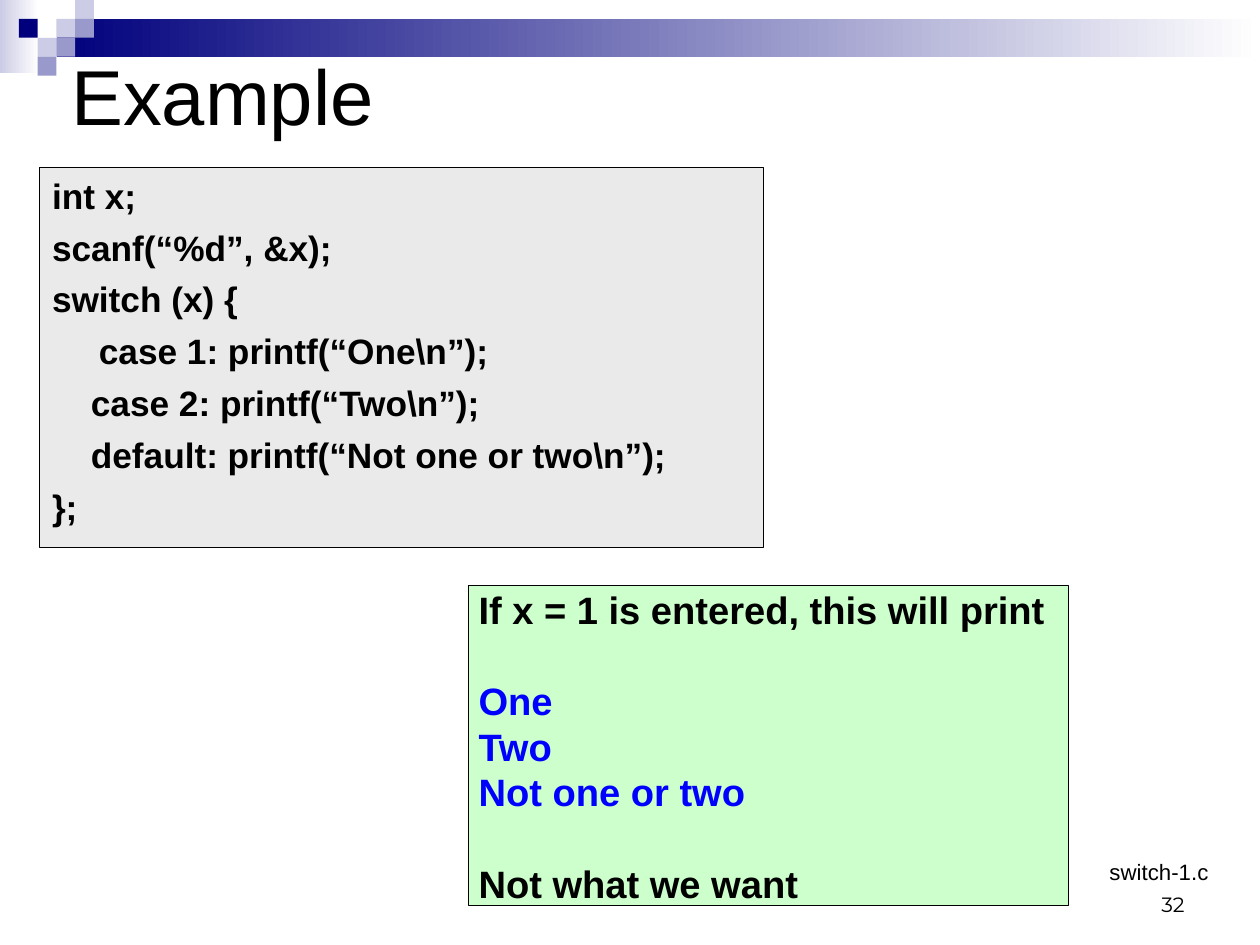
from pptx import Presentation
from pptx import util as u
from pptx.dml.color import RGBColor
from pptx.enum import shapes, text

BLACK = RGBColor(0x00, 0x00, 0x00)
WHITE = RGBColor(0xFF, 0xFF, 0xFF)
NAVY = RGBColor(0x00, 0x00, 0x7D)
LILAC = RGBColor(0xCC, 0xCC, 0xE6)
VIOLET = RGBColor(0x99, 0x99, 0xCC)
GREY = RGBColor(0xEA, 0xEA, 0xEA)
GREEN = RGBColor(0xCC, 0xFF, 0xCC)
BLUE = RGBColor(0x00, 0x00, 0xFF)
COLS, ROWS = 67, 50


def write(p, words, size=24, font="Arial", color=BLACK, bold=False,
          align=text.PP_ALIGN.LEFT, before=0, indent=0, leading=None):
    r = p.add_run()
    r.text = words
    r.font.size, r.font.name, r.font.bold = u.Pt(size), font, bold
    r.font.color.rgb = color
    p.alignment = align
    p.space_before = u.Pt(before)
    if leading:
        p.line_spacing = u.Pt(leading * size)
    p._p.get_or_add_pPr().set("marL", str(u.Inches(indent)))


class Deck:
    def __init__(self, width, height):
        self.prs = Presentation()
        self.prs.slide_width = width
        self.prs.slide_height = height
        self.s = self.prs.slides.add_slide(self.prs.slide_layouts[6])

    def at(self, col, row, cols, rows):
        w, h = self.prs.slide_width / COLS, self.prs.slide_height / ROWS
        return [round(n) for n in (col * w, row * h, cols * w, rows * h)]

    def rect(self, cell, fill, fade=False, outline=False):
        sp = self.s.shapes.add_shape(shapes.MSO_SHAPE.RECTANGLE, *self.at(*cell))
        sp.shadow.inherit = False
        if fade:
            sp.fill.gradient()
            sp.fill.gradient_angle = 0
            for stop, color in zip(sp.fill.gradient_stops, (fill, WHITE)):
                stop.color.rgb = color
        else:
            sp.fill.solid()
            sp.fill.fore_color.rgb = fill
        if outline:
            sp.line.color.rgb = BLACK
            sp.line.width = u.Pt(0.75)
        else:
            sp.line.fill.background()
        return sp

    def frame(self, sp, inset, anchor=text.MSO_ANCHOR.TOP):
        tf = sp.text_frame
        tf.word_wrap = True
        tf.vertical_anchor = anchor
        tf.margin_left = tf.margin_right = u.Inches(inset[0])
        tf.margin_top = tf.margin_bottom = u.Inches(inset[1])
        return tf

    def label(self, cell, words, inset=(0.11, 0.06),
              anchor=text.MSO_ANCHOR.TOP, **style):
        sp = self.s.shapes.add_textbox(*self.at(*cell))
        tf = self.frame(sp, inset, anchor)
        write(tf.paragraphs[0], words, **style)

    def panel(self, cell, fill, lines, inset, **style):
        tf = self.frame(self.rect(cell, fill, outline=True), inset)
        for i, (words, extra) in enumerate(lines):
            p = tf.add_paragraph() if i else tf.paragraphs[0]
            write(p, words, **{**style, **extra})


SQUARES = [
    (3, 1, LILAC), (4, 0, LILAC), (4, 1, VIOLET), (2, 2, LILAC),
    (1, 1, NAVY), (3, 2, VIOLET), (2, 3, VIOLET),
]
CODE = [
    ("int x;", {}),
    ("scanf(“%d”, &x);", {}),
    ("switch (x) {", {}),
    ("case 1: printf(“One\\n”);", {"indent": 0.41}),
    ("case 2: printf(“Two\\n”);", {"indent": 0.34}),
    ("default: printf(“Not one or two\\n”);", {"indent": 0.34}),
    ("};", {}),
]
RESULT = [
    ("If x = 1 is entered, this will print", {}),
    ("One", {"color": BLUE, "before": 28.8}),
    ("Two", {"color": BLUE}),
    ("Not one or two", {"color": BLUE}),
    ("Not what we want", {"before": 28.8}),
]


def main():
    d = Deck(u.Cm(28), u.Cm(21))
    d.rect((0, 0, 2.07, 3.87), LILAC, fade=True)
    d.rect((3.04, 1, 63.96, 2), NAVY, fade=True)
    for col, row, color in SQUARES:
        d.rect((col, row, 1, 1), color)
    d.label((48.03, 45.53, 15.62, 3.33), "32", anchor=text.MSO_ANCHOR.BOTTOM,
            size=13, font="Montserrat", align=text.PP_ALIGN.RIGHT)
    d.label((3.12, 0, 60.3, 10), "Example", anchor=text.MSO_ANCHOR.MIDDLE, size=49)
    d.panel((2.1, 8.85, 38.5, 20.13), GREY, CODE, (0.11, 0.06),
            size=22.2, bold=True, before=6, leading=1.2)
    d.panel((24.9, 31, 31.92, 16.93), GREEN, RESULT, (0, 0),
            bold=True, indent=0.09, leading=1.2)
    d.label((58.4, 45.12, 8.6, 2.06), "switch-1.c", inset=(0.1, 0.05), size=14)
    d.prs.save("out.pptx")


if __name__ == "__main__":
    main()
